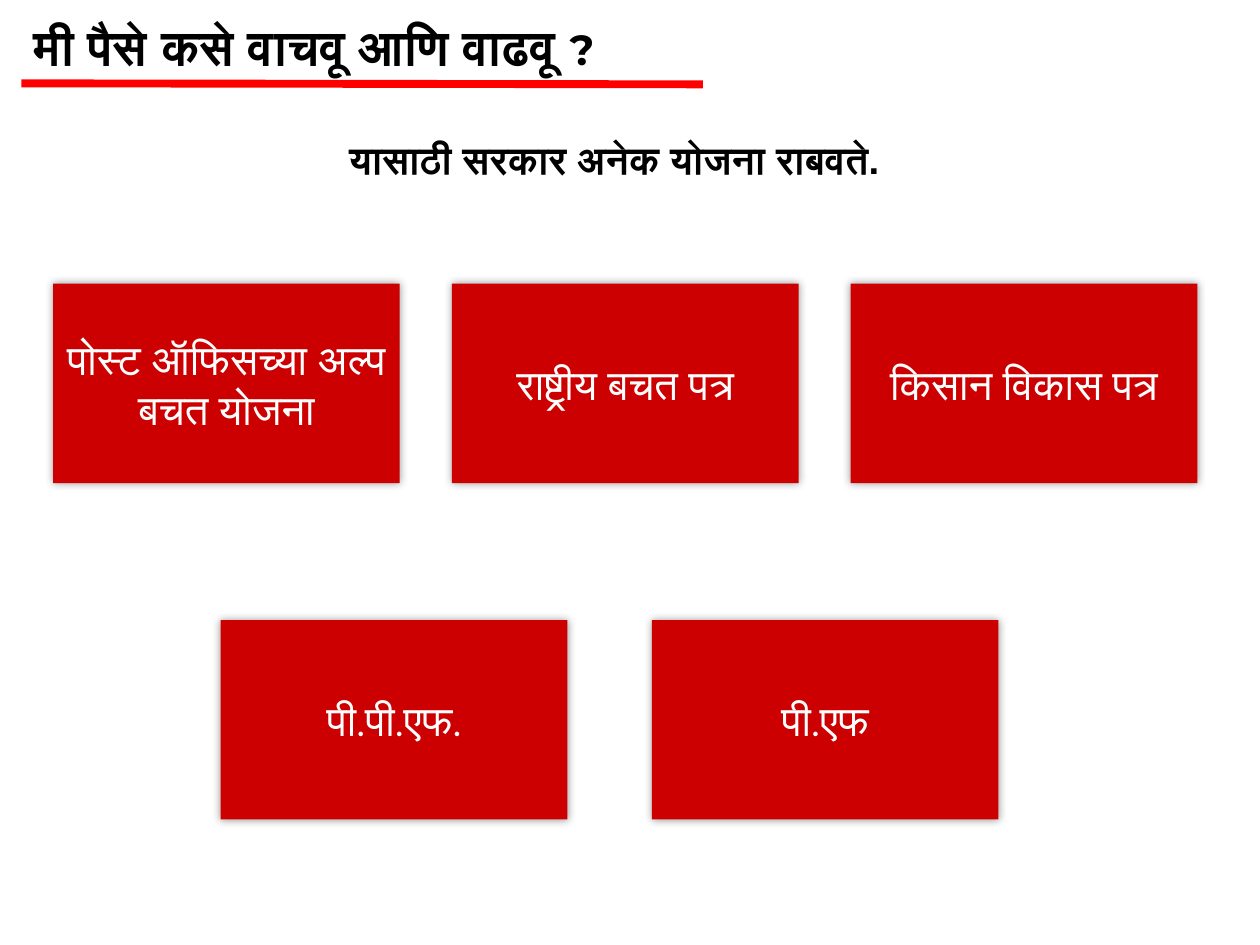
from lxml.etree import SubElement
from pptx import Presentation
from pptx.dml.color import RGBColor
from pptx.enum.shapes import MSO_CONNECTOR as Connector, MSO_SHAPE as Shape
from pptx.enum.text import MSO_ANCHOR as Anchor, MSO_AUTO_SIZE as AutoSize, PP_ALIGN as Align
from pptx.oxml.ns import qn
from pptx.util import Cm, Pt

COLORS = {"text": "000000", "rule": "FF0000", "card": "CC0000",
          "card_text": "FFFFFF", "shadow": "000000"}
TITLE = {"name": "Montserrat", "size": Pt(28), "bold": True}
SUBTITLE = {"name": "Arial", "size": Pt(22), "bold": True}
CARD = {"name": "Montserrat", "size": Pt(24), "bold": False}

CARD_WIDTH, CARD_HEIGHT = 6.99, 4.02
CARD_ROWS = [
    (1.07, 5.72, 8.04, ["पोस्ट ऑफिसच्या अल्प बचत योजना", "राष्ट्रीय बचत पत्र", "किसान विकास पत्र"]),
    (4.45, 12.5, 8.69, ["पी.पी.एफ.", "पी.एफ"]),
]


def color(key):
    return RGBColor.from_string(COLORS[key])


def add_span(para, text, style, color_key):
    span = para.add_run()
    span.text = text
    for name, value in style.items():
        setattr(span.font, name, value)
    span.font.color.rgb = color(color_key)


def add_text(page, area, spans, align=Align.LEFT):
    box = page.shapes.add_textbox(*map(Cm, area))
    frame = box.text_frame
    frame.word_wrap = True
    frame.auto_size = AutoSize.SHAPE_TO_FIT_TEXT
    para = frame.paragraphs[0]
    para.alignment = align
    for text, style in spans:
        add_span(para, text, style, "text")


def add_rule(page, ends):
    rule = page.shapes.add_connector(Connector.STRAIGHT, *map(Cm, ends))
    rule.line.color.rgb = color("rule")
    rule.line.width = Pt(4.5)
    SubElement(rule._element.spPr, qn("a:effectLst"))


def add_glow_shadow(card):
    card.shadow.inherit = False
    effects = card._element.spPr.find(qn("a:effectLst"))
    shadow = SubElement(effects, qn("a:outerShdw"), blurRad=str(Pt(5)), dist="0",
                        dir="0", algn="ctr", rotWithShape="0")
    tint = SubElement(shadow, qn("a:srgbClr"), val=COLORS["shadow"])
    SubElement(tint, qn("a:alpha"), val="40000")


def add_card(page, left, top, text):
    card = page.shapes.add_shape(Shape.RECTANGLE, Cm(left), Cm(top),
                                 Cm(CARD_WIDTH), Cm(CARD_HEIGHT))
    card.fill.solid()
    card.fill.fore_color.rgb = color("card")
    card.line.fill.background()
    add_glow_shadow(card)
    frame = card.text_frame
    frame.word_wrap = True
    frame.vertical_anchor = Anchor.MIDDLE
    para = frame.paragraphs[0]
    para.alignment = Align.CENTER
    add_span(para, text, CARD, "card_text")


def main():
    deck = Presentation()
    deck.slide_width, deck.slide_height = Cm(25.4), Cm(19.05)
    page = deck.slides.add_slide(deck.slide_layouts[6])

    add_text(page, (0.43, 0.2, 16.71, 1.45),
             [("मी पैसे कसे वाचवू आणि वाढवू ", TITLE), ("?", {**TITLE, "size": Pt(24)})])
    add_rule(page, (0.43, 1.68, 14.17, 1.7))
    add_text(page, (0.64, 2.62, 23.7, 1.19),
             [("यासाठी सरकार अनेक योजना राबवते. ", SUBTITLE)], Align.CENTER)
    for left, top, pitch, names in CARD_ROWS:
        for column, name in enumerate(names):
            add_card(page, left + column * pitch, top, name)

    deck.save("out.pptx")


if __name__ == "__main__":
    main()
